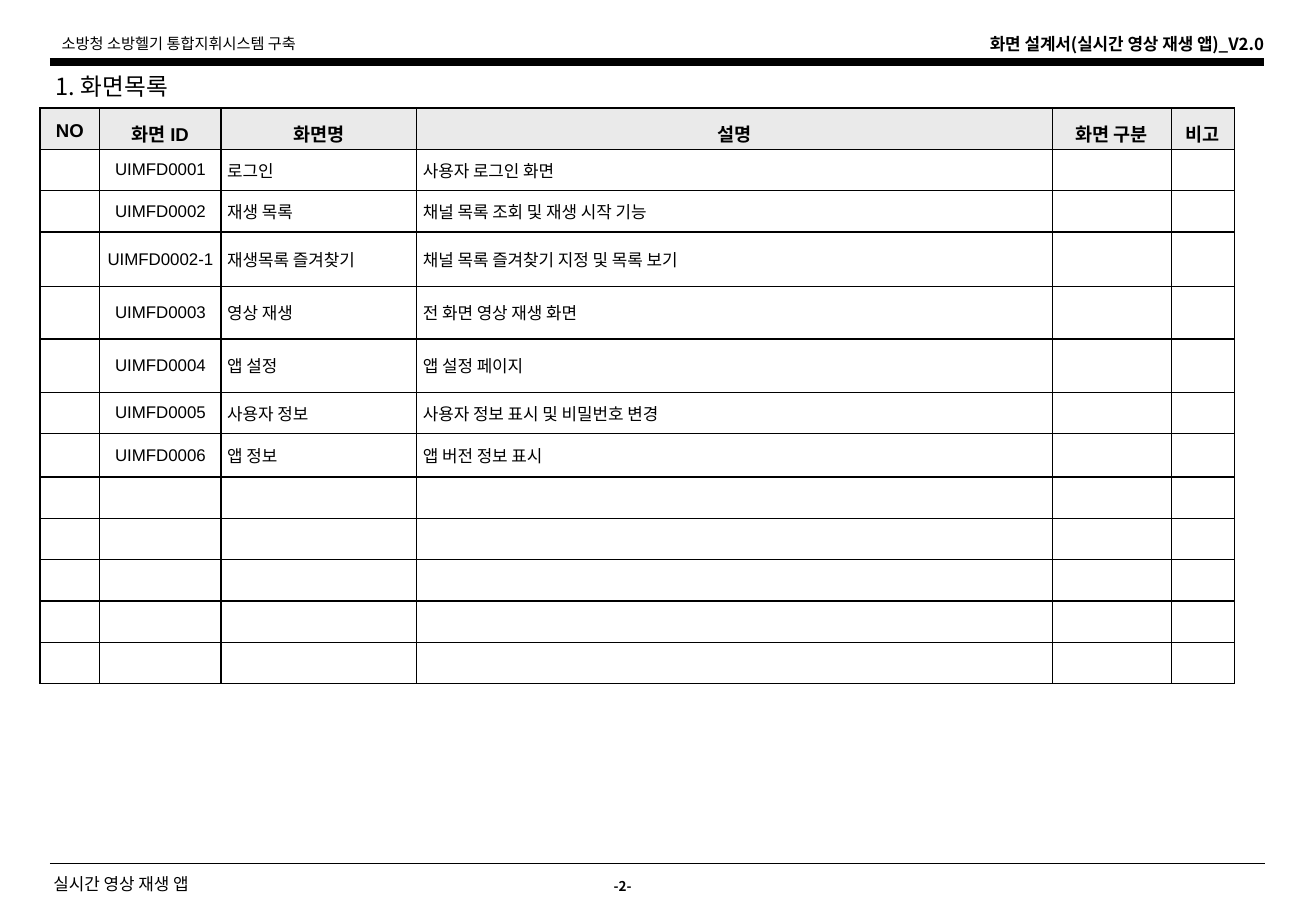
from lxml.etree import SubElement
from pptx import Presentation
from pptx.dml.color import RGBColor
from pptx.enum.shapes import MSO_CONNECTOR
from pptx.enum.text import MSO_ANCHOR, PP_ALIGN
from pptx.oxml.ns import qn
from pptx.util import Inches, Pt

NOTO, ARIAL = "Noto Sans CJK KR", "Arial"
BLACK, WHITE, GRAY = "000000", "FFFFFF", "EAEAEA"
WIDTHS = [0.49, 1, 1.61, 5.23, 0.98, 0.52]
HEIGHTS = [0.34] * 3 + [0.45, 0.43, 0.44, 0.34, 0.36] + [0.34] * 5
HEADS = ["NO", "화면 ID", "화면명", "설명", "화면 구분", "비고"]
SCREENS = [
    ("UIMFD0001", "로그인", "사용자 로그인 화면"),
    ("UIMFD0002", "재생 목록", "채널 목록 조회 및 재생 시작 기능"),
    ("UIMFD0002-1", "재생목록 즐겨찾기", "채널 목록 즐겨찾기 지정 및 목록 보기"),
    ("UIMFD0003", "영상 재생", "전 화면 영상 재생 화면"),
    ("UIMFD0004", "앱 설정", "앱 설정 페이지"),
    ("UIMFD0005", "사용자 정보", "사용자 정보 표시 및 비밀번호 변경"),
    ("UIMFD0006", "앱 정보", "앱 버전 정보 표시"),
]


def color(code):
    """Turn a hex string into a colour."""
    return RGBColor.from_string(code)


def style(para, size, face, bold=False, align=PP_ALIGN.LEFT):
    """Format a paragraph, with a Korean font beside the Latin one."""
    para.alignment = align
    for run in para.runs:
        font = run.font
        font.size, font.name, font.bold = Pt(size), face, bold
        font.color.rgb = color(BLACK)
        SubElement(font._element, qn("a:ea"), typeface=NOTO)
    if not para.runs:
        SubElement(para._p, qn("a:endParaRPr"), sz=str(size * 100))


def label(slide, box, text, size, bold=False, align=PP_ALIGN.LEFT,
          wrap=True, inset=0.1):
    """Add one line of text in a box."""
    frame = slide.shapes.add_textbox(*map(Inches, box)).text_frame
    frame.word_wrap = wrap
    frame.margin_left = Inches(inset)
    frame.text = text
    style(frame.paragraphs[0], size, NOTO, bold, align)


def rule(slide, left, top, width, weight):
    """Draw a black horizontal line."""
    line = slide.shapes.add_connector(
        MSO_CONNECTOR.STRAIGHT, Inches(left), Inches(top),
        Inches(left + width), Inches(top))
    line.line.color.rgb = color(BLACK)
    line.line.width = Pt(weight)
    SubElement(line._element.spPr, qn("a:effectLst"))


def border(cell):
    """Give a cell a thin black line on all sides."""
    props = cell._tc.get_or_add_tcPr()
    for side in ("lnL", "lnR", "lnT", "lnB"):
        line = SubElement(props, qn("a:" + side), w=str(Pt(1)))
        fill = SubElement(line, qn("a:solidFill"))
        SubElement(fill, qn("a:srgbClr"), val=BLACK)


def fill_cell(cell, text, head, center):
    """Write and format one cell of the list."""
    border(cell)
    cell.fill.solid()
    cell.fill.fore_color.rgb = color(GRAY if head else WHITE)
    cell.vertical_anchor = MSO_ANCHOR.MIDDLE
    side, edge = (0.1, 0.05) if head else (0.01 if center else 0.05, 0.01)
    cell.margin_left = cell.margin_right = Inches(side)
    cell.margin_top = cell.margin_bottom = Inches(edge)
    cell.text_frame.text = text
    para = cell.text_frame.paragraphs[0]
    if head:
        para.line_spacing = 1.2
    style(para, 11 if head else 10, ARIAL, head,
          PP_ALIGN.CENTER if center else PP_ALIGN.LEFT)


def header(slide, left, top, width):
    """Place the project name, document name and thick rule."""
    label(slide, (left, top, 4.67, 0.24), "소방청 소방헬기 통합지휘시스템 구축", 9)
    label(slide, (left + width - 4.98, top, 5.08, 0.27),
          "화면 설계서(실시간 영상 재생 앱)_V2.0", 10, True, PP_ALIGN.RIGHT)
    rule(slide, left, top + 0.28, width, 4.5)


def listing(slide, left, top):
    """Place the section title and the table of screens."""
    label(slide, (left + 0.03, top, 1.28, 0.32), "1. 화면목록", 14, wrap=False)
    table = slide.shapes.add_table(
        len(HEIGHTS), len(WIDTHS), Inches(left), Inches(top + 0.35),
        Inches(sum(WIDTHS)), Inches(sum(HEIGHTS))).table
    table.first_row = table.horz_banding = False
    for col, width in zip(table.columns, WIDTHS):
        col.width = Inches(width)
    rows = [HEADS] + [["", *screen, "", ""] for screen in SCREENS]
    rows += [[""] * len(HEADS)] * (len(HEIGHTS) - len(rows))
    for i, texts in enumerate(rows):
        table.rows[i].height = Inches(HEIGHTS[i])
        for j, text in enumerate(texts):
            fill_cell(table.cell(i, j), text, i == 0, i == 0 or j == 1)


def footer(slide, left, top, width):
    """Place the thin rule, app name and page number."""
    rule(slide, left, top, width, 1)
    label(slide, (left - 0.01, top + 0.03, 4.15, 0.27), "실시간 영상 재생 앱", 10,
          inset=0.04)
    label(slide, (left + 4.5, top + 0.07, 0.43, 0.23), "-2-", 8, True,
          PP_ALIGN.CENTER, wrap=False)


def main():
    """Build and save the slide."""
    deck = Presentation()
    deck.slide_width, deck.slide_height = Inches(10.83), Inches(7.5)
    slide = deck.slides.add_slide(deck.slide_layouts[6])
    header(slide, 0.41, 0.23, 9.99)
    listing(slide, 0.33, 0.54)
    footer(slide, 0.41, 7.11, 10)
    deck.save("out.pptx")


main()
